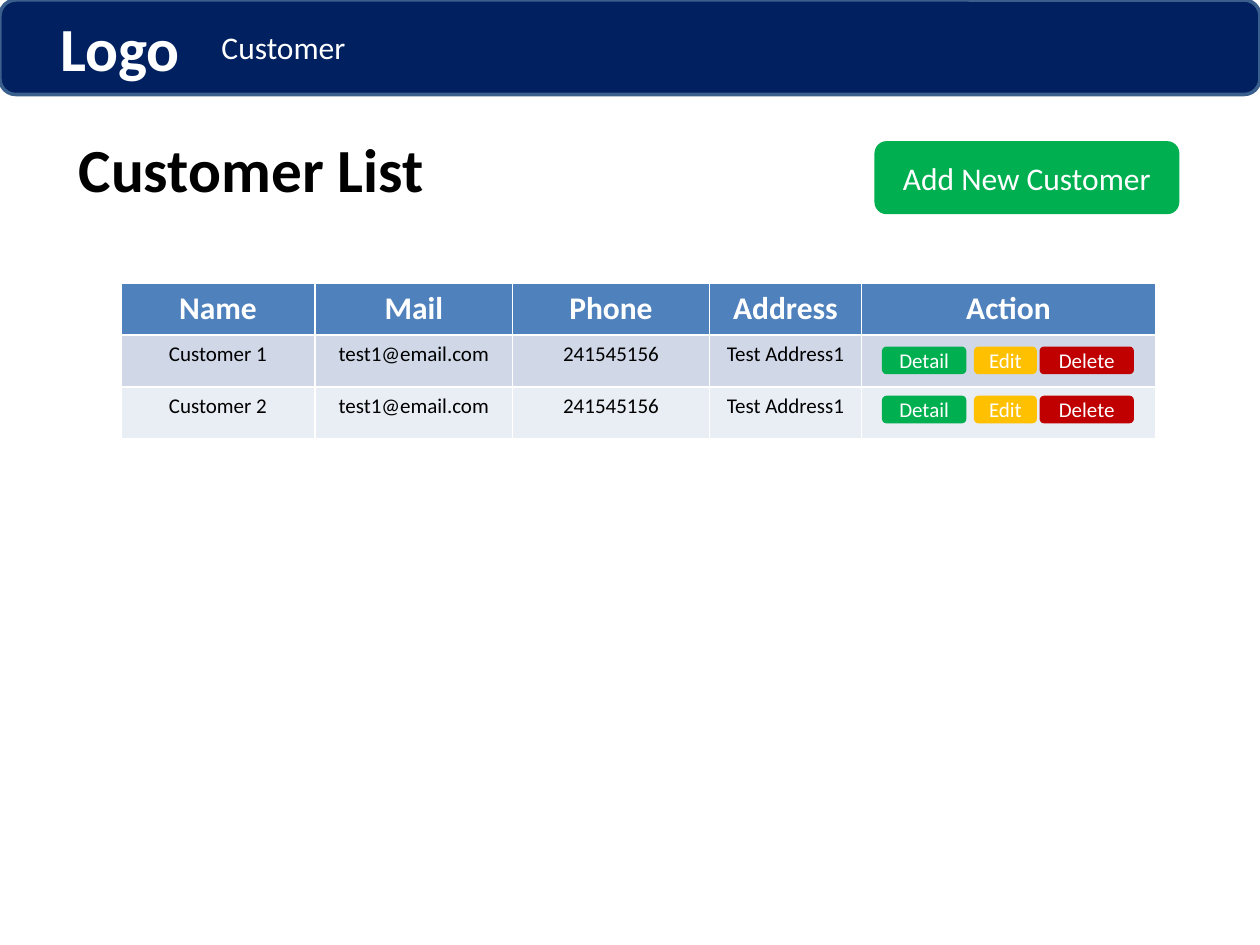
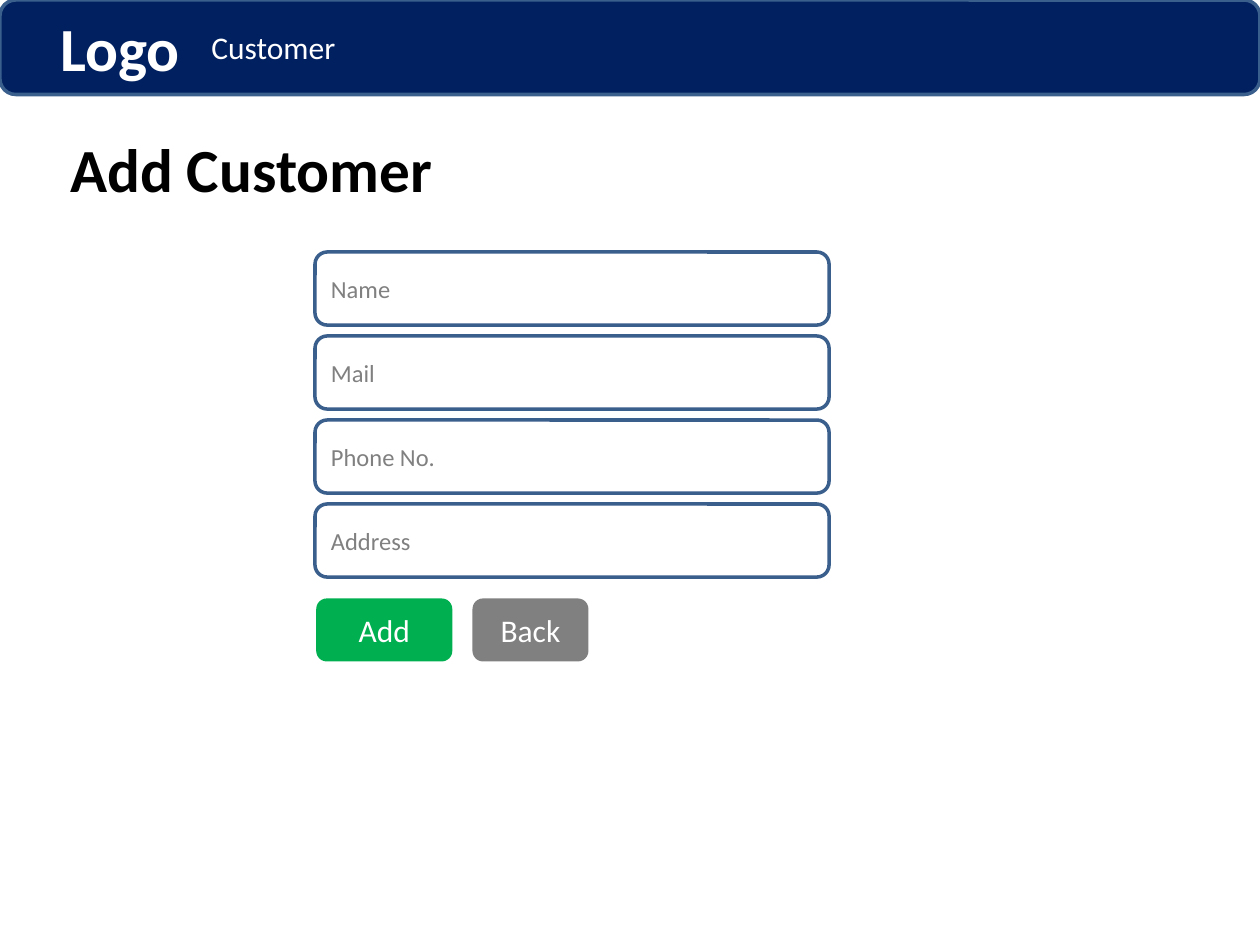
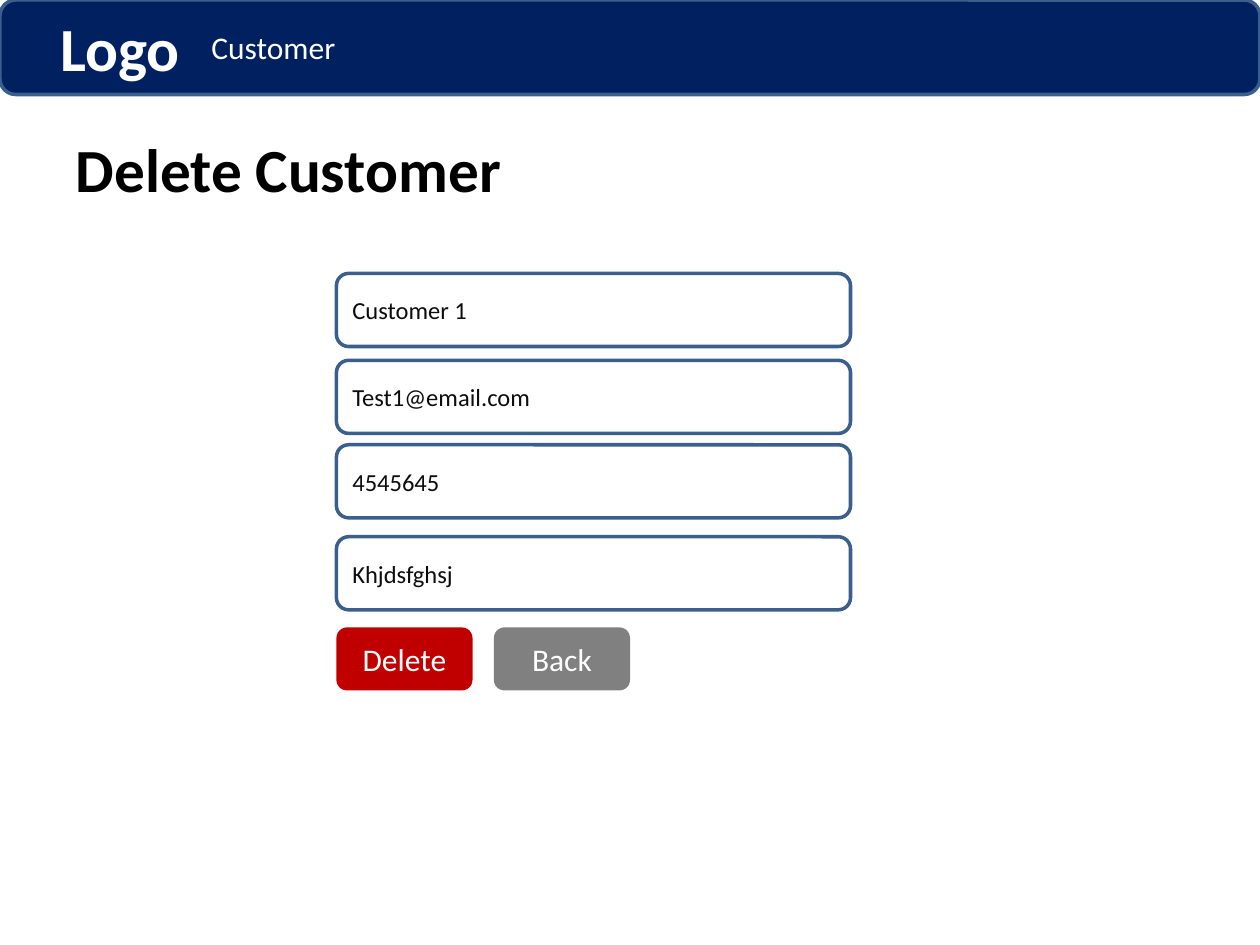
import pptx
import pptx.util
import pptx.dml.color
import pptx.enum.shapes
import pptx.enum.text

Inches = pptx.util.Inches
Pt = pptx.util.Pt
ALIGN = pptx.enum.text.PP_ALIGN
MIDDLE = pptx.enum.text.MSO_ANCHOR.MIDDLE
ROUNDED = pptx.enum.shapes.MSO_SHAPE.ROUNDED_RECTANGLE

COLORS = {
    "navy": "002060",
    "outline": "3A5F8C",
    "green": "00B050",
    "amber": "FFC000",
    "red": "C00000",
    "gray": "808080",
    "white": "FFFFFF",
    "black": "000000",
    "value": "0D0D0D",
    "head": "4F81BD",
    "band1": "D0D8E8",
    "band2": "E9EDF4",
}


class Mockup:
    font = "Calibri"

    def __init__(self):
        self.prs = pptx.Presentation()
        self.prs.slide_width = Inches(10)
        self.prs.slide_height = Inches(7.5)
        self.slide = None

    def color(self, name):
        return pptx.dml.color.RGBColor.from_string(COLORS[name])

    def set_text(self, tf, text, size, color, bold=False, align=ALIGN.CENTER):
        tf.word_wrap = True
        p = tf.paragraphs[0]
        p.text = text
        p.alignment = align
        p.font.name = self.font
        p.font.size = Pt(size)
        p.font.bold = bold
        p.font.color.rgb = self.color(color)

    def box(self, left, top, width, height, fill=None, outlined=False):
        sp = self.slide.shapes.add_shape(
            ROUNDED, Inches(left), Inches(top), Inches(width), Inches(height))
        sp.shadow.inherit = False
        if fill:
            sp.fill.solid()
            sp.fill.fore_color.rgb = self.color(fill)
        else:
            sp.fill.background()
        if outlined:
            sp.line.color.rgb = self.color("outline")
            sp.line.width = Pt(2)
        else:
            sp.line.fill.background()
        sp.text_frame.vertical_anchor = MIDDLE
        return sp

    def label(self, text, left, width, size, bold=False):
        sp = self.slide.shapes.add_textbox(
            Inches(left), Inches(0), Inches(width), Inches(0.75))
        sp.text_frame.vertical_anchor = MIDDLE
        self.set_text(sp.text_frame, text, size, "white", bold)

    def page(self, title, title_width=3.33, menu_left=1.17):
        self.slide = self.prs.slides.add_slide(self.prs.slide_layouts[5])
        self.box(0, 0, 10, 0.75, "navy", outlined=True)
        self.label("Logo", 0.08, 1.75, 35, bold=True)
        self.label("Customer", menu_left, 2, 18)
        sp = self.slide.shapes.title
        sp.left, sp.top = Inches(0.33), Inches(0.83)
        sp.width, sp.height = Inches(title_width), Inches(1)
        sp.text_frame.vertical_anchor = MIDDLE
        self.set_text(sp.text_frame, title, 35, "black", bold=True)

    def button(self, text, left, top, width, height, fill, size=18):
        sp = self.box(left, top, width, height, fill)
        self.set_text(sp.text_frame, text, size, "white")

    def fields(self, left, tops, texts, color):
        for top, text in zip(tops, texts):
            sp = self.box(left, top, 4.08, 0.58, outlined=True)
            self.set_text(sp.text_frame, text, 14, color, align=ALIGN.LEFT)

    def table(self, left, top, widths, row_height, rows):
        table = self.slide.shapes.add_table(
            len(rows), len(widths), Inches(left), Inches(top),
            Inches(sum(widths)), Inches(row_height * len(rows))).table
        for column, width in zip(table.columns, widths):
            column.width = Inches(width)
        for i, row in enumerate(rows):
            fill = "head" if i == 0 else ("band2", "band1")[i % 2]
            size, color = (18, "white") if i == 0 else (12, "black")
            for j, text in enumerate(row):
                cell = table.cell(i, j)
                cell.fill.solid()
                cell.fill.fore_color.rgb = self.color(fill)
                self.set_text(cell.text_frame, text, size, color, bold=i == 0)


def customer_list(m):
    m.page("Customer List", menu_left=1.25)
    m.button("Add New Customer", 6.94, 1.12, 2.42, 0.58, "green")
    m.table(0.96, 2.25, [1.54, 1.57, 1.56, 1.21, 2.33], 0.41, [
        ["Name", "Mail", "Phone", "Address", "Action"],
        ["Customer 1", "test1@email.com", "241545156", "Test Address1", ""],
        ["Customer 2", "test1@email.com", "241545156", "Test Address1", ""],
    ])
    actions = [
        ("Detail", 7, 0.67, "green"),
        ("Edit", 7.73, 0.5, "amber"),
        ("Delete", 8.25, 0.75, "red"),
    ]
    for top in (2.75, 3.14):
        for text, left, width, fill in actions:
            m.button(text, left, top, width, 0.22, fill, size=12)


def add_customer(m):
    m.page("Add Customer")
    tops = [2 + i * 2 / 3 for i in range(4)]
    m.fields(2.5, tops, ["Name", "Mail", "Phone No.", "Address"], "gray")
    m.button("Add", 2.51, 4.75, 1.08, 0.5, "green")
    m.button("Back", 3.75, 4.75, 0.92, 0.5, "gray")


def delete_customer(m):
    m.page("Delete Customer", title_width=3.92)
    m.fields(2.67, [2.17, 2.86, 3.53, 4.26],
             ["Customer 1", "Test1@email.com", "4545645", "Khjdsfghsj"], "value")
    m.button("Delete", 2.67, 4.98, 1.08, 0.5, "red")
    m.button("Back", 3.92, 4.98, 1.08, 0.5, "gray")


def main():
    m = Mockup()
    customer_list(m)
    add_customer(m)
    delete_customer(m)
    m.prs.save("out.pptx")


if __name__ == "__main__":
    main()
